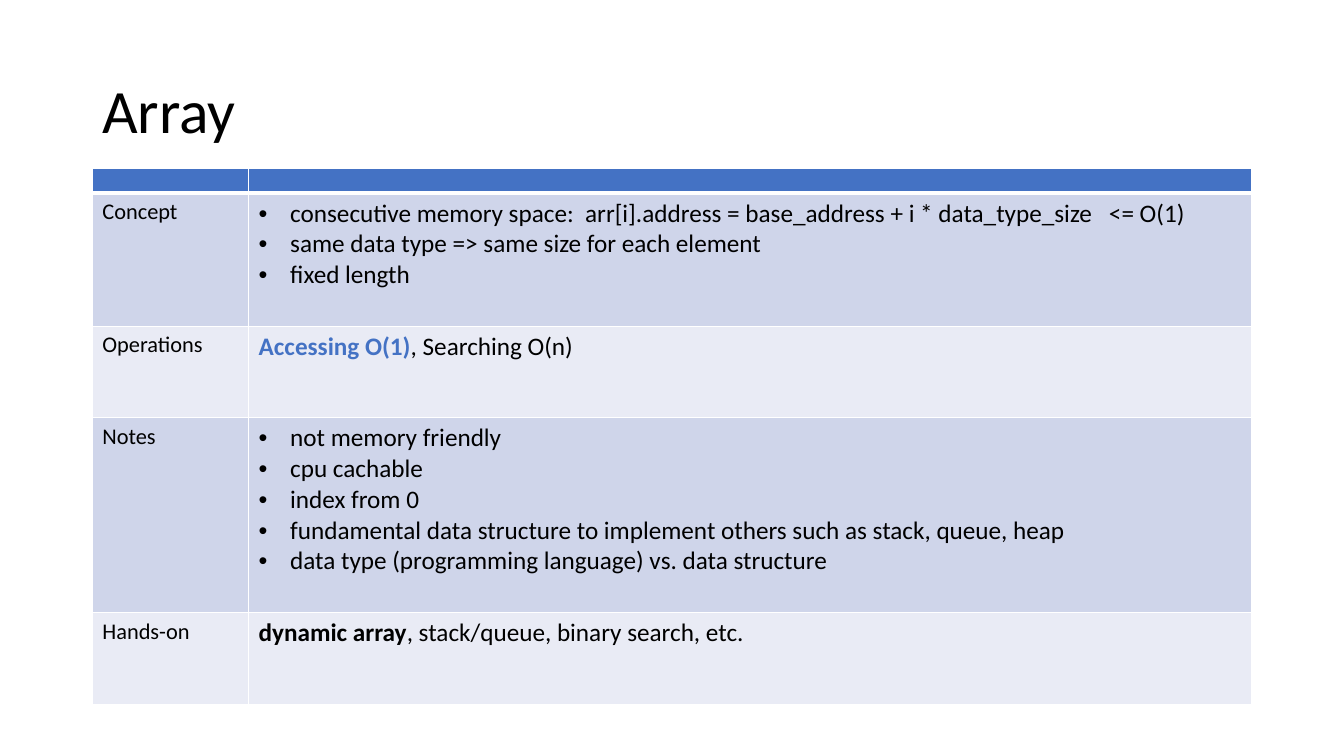
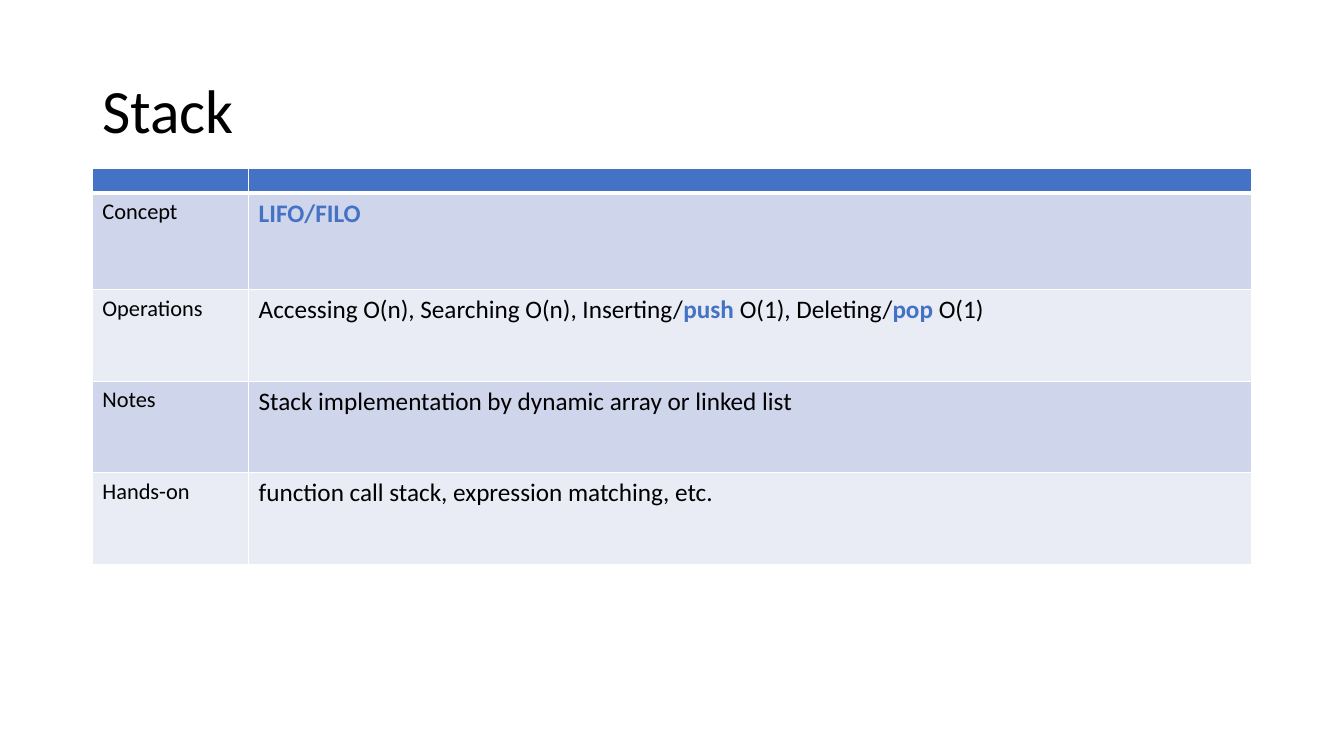
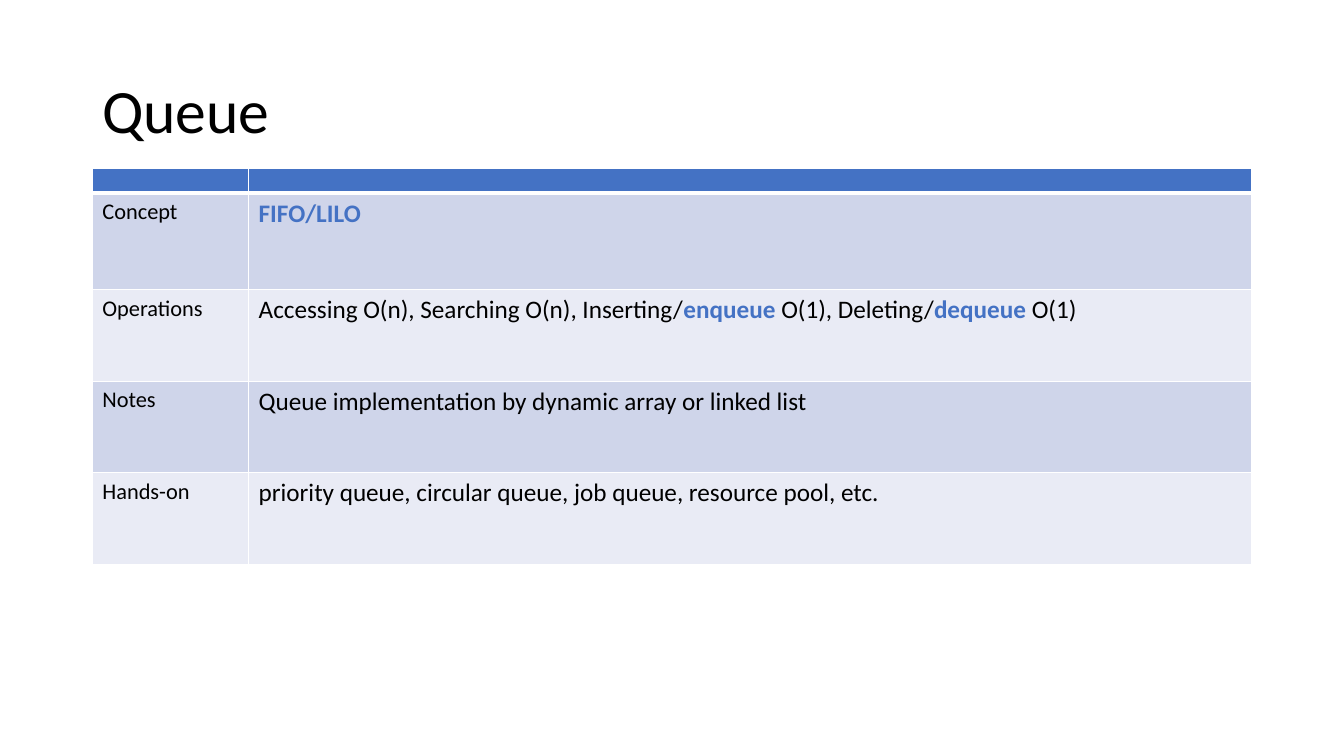
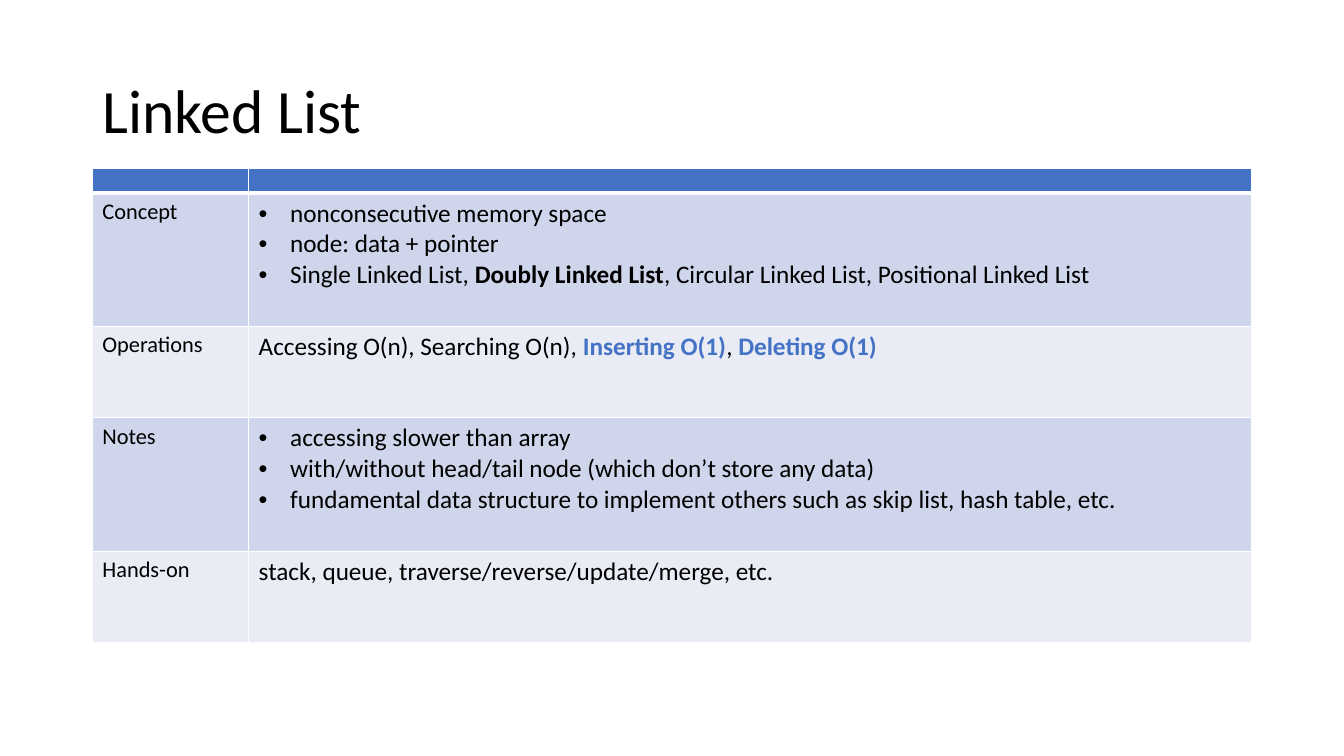
from pptx import Presentation
from pptx.dml.color import RGBColor
from pptx.enum.text import MSO_ANCHOR
from pptx.oxml.ns import qn
from pptx.util import Pt
from lxml.etree import SubElement

BLACK = RGBColor(0x00, 0x00, 0x00)
WHITE = RGBColor(0xFF, 0xFF, 0xFF)
BLUE = RGBColor(0x44, 0x72, 0xC4)
BANDS = RGBColor(0xCF, 0xD5, 0xEA), RGBColor(0xE9, 0xEB, 0xF5)

FONT = "Calibri"
LEFT, WIDTH = 66, 828
COLS = 111.6, 716.4
HEAD = 17.6
ROWS = {"Concept": 69.1, "Operations": 65.4, "Notes": 65.4, "Hands-on": 65.4}
LINE, PAD = 22, 7.2
INDENT = 22.5


def key(text):
    """A bold blue run."""
    return text, BLUE, True


def bold(text):
    """A bold black run."""
    return text, BLACK, True


class Deck:
    def __init__(self):
        self.prs = Presentation()
        self.prs.slide_width, self.prs.slide_height = Pt(960), Pt(540)
        self.slide = None

    def page(self, title, *cells):
        self.slide = self.prs.slides.add_slide(self.prs.slide_layouts[6])
        self.title(title)
        self.table(cells)

    def say(self, para, runs, size):
        """Add plain strings or (text, colour, bold) runs."""
        for run in runs:
            text, color, strong = (run, BLACK, False) if isinstance(run, str) else run
            part = para.add_run()
            part.text = text
            font = part.font
            font.name, font.size, font.bold = FONT, Pt(size), strong
            font.color.rgb = color

    def title(self, text):
        box = self.slide.shapes.add_textbox(Pt(LEFT), Pt(28.8), Pt(WIDTH), Pt(104.4))
        frame = box.text_frame
        frame.word_wrap = True
        frame.vertical_anchor = MSO_ANCHOR.MIDDLE
        para = frame.paragraphs[0]
        para.line_spacing = 0.9
        self.say(para, [text], 44)

    def bullet(self, para):
        props = para._p.get_or_add_pPr()
        props.set("marL", str(Pt(INDENT)))
        props.set("indent", str(-Pt(INDENT)))
        SubElement(props, qn("a:buFont")).set("typeface", "Arial")
        SubElement(props, qn("a:buChar")).set("char", "•")

    def paint(self, cell, color, base=1):
        """Draw the white borders, then the fill."""
        props = cell._tc.get_or_add_tcPr()
        for side, width in ("L", 1), ("R", 1), ("T", 1), ("B", base):
            line = SubElement(props, qn("a:ln" + side), w=str(Pt(width)))
            fill = SubElement(line, qn("a:solidFill"))
            SubElement(fill, qn("a:srgbClr")).set("val", str(WHITE))
        cell.fill.solid()
        cell.fill.fore_color.rgb = color

    def fill(self, cell, paras, size):
        """Set the paragraphs, with bullets when there are several."""
        frame = cell.text_frame
        for i, runs in enumerate(paras):
            para = frame.add_paragraph() if i else frame.paragraphs[0]
            if len(paras) > 1:
                self.bullet(para)
            self.say(para, runs, size)

    def table(self, cells):
        # Lists keep one free line below their text
        highs = [HEAD] + [max(low, LINE * (len(paras) + 1) + PAD if len(paras) > 1 else 0)
                          for low, paras in zip(ROWS.values(), cells)]
        frame = self.slide.shapes.add_table(
            len(highs), len(COLS), Pt(LEFT), Pt(120.3), Pt(WIDTH), Pt(sum(highs)))
        table = frame.table
        table.first_row = table.horz_banding = False
        for col, width in zip(table.columns, COLS):
            col.width = Pt(width)
        for row, high in zip(table.rows, highs):
            row.height = Pt(high)

        # Header band, low enough only with small type
        for cell in table.rows[0].cells:
            self.paint(cell, BLUE, 3)
            para = cell.text_frame.paragraphs[0]
            para._p.get_or_add_endParaRPr().set("sz", "800")

        # Label and content of each row
        for i, (label, paras) in enumerate(zip(ROWS, cells)):
            name, body = table.rows[i + 1].cells
            for cell in name, body:
                self.paint(cell, BANDS[i % 2])
            self.fill(name, [[label]], 16)
            self.fill(body, paras, 18)


def main():
    deck = Deck()

    deck.page(
        "Array",
        [["consecutive memory space:  arr[i].address = base_address + i * data_type_size   <= O(1)"],
         ["same data type => same size for each element"],
         ["fixed length"]],
        [[key("Accessing O(1)"), ", Searching O(n)"]],
        [["not memory friendly"],
         ["cpu cachable"],
         ["index from 0"],
         ["fundamental data structure to implement others such as stack, queue, heap"],
         ["data type (programming language) vs. data structure"]],
        [[bold("dynamic array"), ", stack/queue, binary search, etc."]])

    # Stack and queue share their wording
    for name, order, put, take, uses in (
            ("Stack", "LIFO/FILO", "push", "pop",
             "function call stack, expression matching, etc."),
            ("Queue", "FIFO/LILO", "enqueue", "dequeue",
             "priority queue, circular queue, job queue, resource pool, etc.")):
        deck.page(
            name,
            [[key(order)]],
            [["Accessing O(n), Searching O(n), Inserting/", key(put),
              " O(1), Deleting/", key(take), " O(1)"]],
            [[f"{name} implementation by dynamic array or linked list"]],
            [[uses]])

    deck.page(
        "Linked List",
        [["nonconsecutive memory space"],
         ["node: data + pointer"],
         ["Single Linked List, ", bold("Doubly Linked List"),
          ", Circular Linked List, Positional Linked List"]],
        [["Accessing O(n), Searching O(n), ", key("Inserting O(1)"), ", ",
          key("Deleting O(1)")]],
        [["accessing slower than array"],
         ["with/without head/tail node (which don’t store any data)"],
         ["fundamental data structure to implement others such as skip list, hash table, etc."]],
        [["stack, queue, traverse/reverse/update/merge, etc."]])

    deck.prs.save("out.pptx")


if __name__ == "__main__":
    main()
